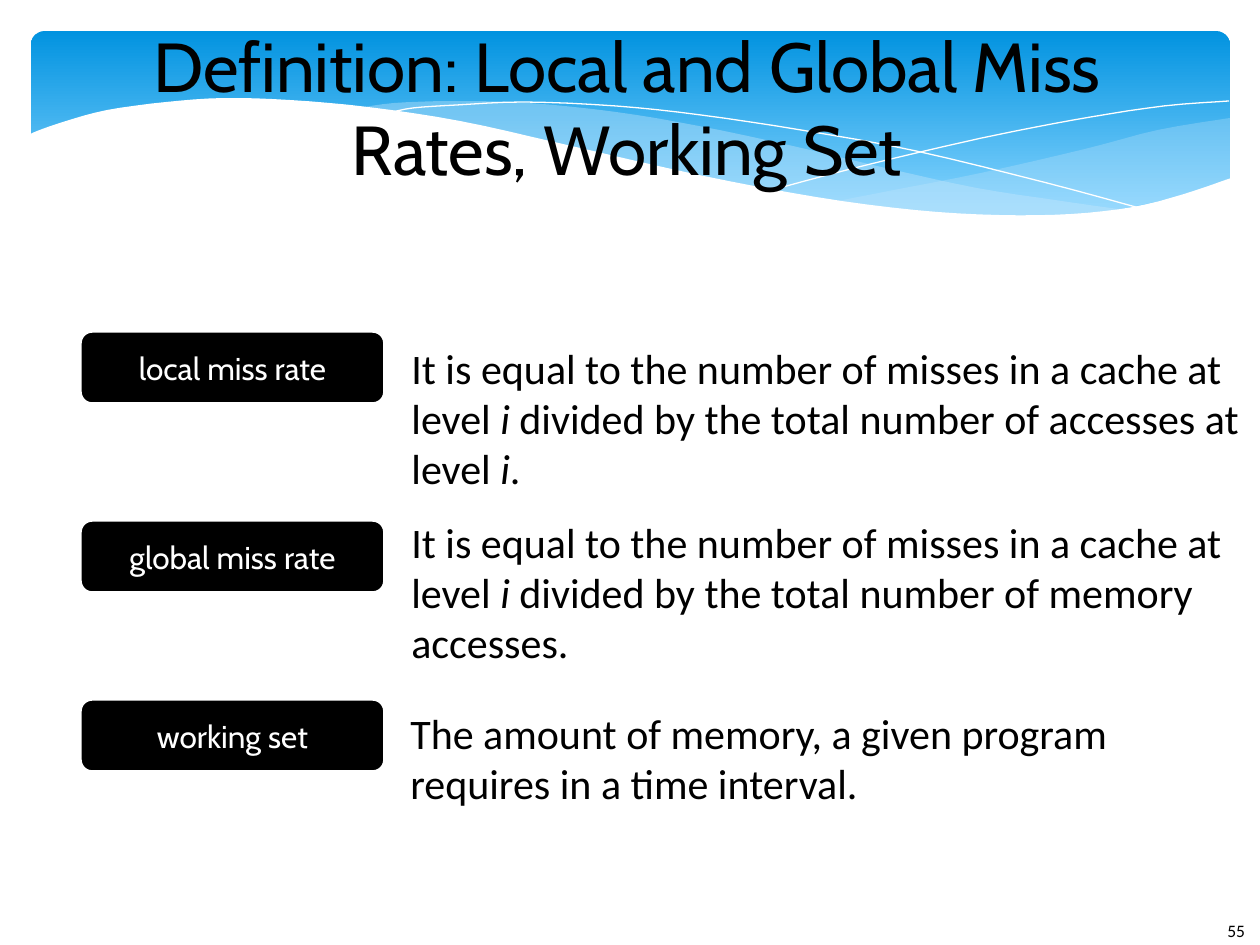
from itertools import pairwise

from lxml.etree import SubElement
from pptx import Presentation
from pptx.dml.color import RGBColor
from pptx.enum.shapes import MSO_SHAPE
from pptx.enum.text import MSO_ANCHOR, MSO_AUTO_SIZE, PP_ALIGN
from pptx.oxml.ns import qn
from pptx.util import Emu, Pt

EMU_PER_PX = 914400 / 126
BLACK = RGBColor(0x00, 0x00, 0x00)
WHITE = RGBColor(0xFF, 0xFF, 0xFF)
DEEP_BLUE = RGBColor(0x02, 0x93, 0xE0)
SKY_BLUE = RGBColor(0x83, 0xD3, 0xFE)
MIST = RGBColor(0xC6, 0xE7, 0xFC)

TITLE = {"size": Pt(39.6), "name": "Cabin"}
LABEL = {"size": Pt(18), "name": "Cabin"}
BODY = {"size": Pt(24), "name": "Calibri"}
NUMBER = {"size": Pt(10), "name": "Calibri"}
BREAK = "\n"

RIGHT_MIST = [
    [(1230, 118), (1158, 130), (1085, 149), (981, 173), (889, 191), (833, 202)],
    [(833, 202), (906, 210), (969, 215), (1026, 217), (1087, 214), (1140, 205),
     (1196, 192), (1230, 178)],
]
LONG_MIST = [
    [(1125, 210), (1055, 200), (977, 188), (890, 169), (793, 146), (699, 126),
     (616, 112), (529, 103), (455, 101), (394, 103), (360, 108)],
    [(360, 108), (456, 122), (566, 146), (668, 170), (757, 189), (838, 203),
     (910, 212), (974, 217), (1031, 218), (1080, 215), (1125, 210)],
]
FALLING_LINE = [
    [(389, 113), (413, 108), (457, 105), (524, 102), (616, 106), (701, 115),
     (801, 130), (916, 151), (1047, 183), (1143, 209)],
]
RISING_LINE = [
    [(772, 190), (847, 170), (942, 147), (1016, 131), (1091, 117), (1164, 106),
     (1229, 101)],
]
WHITE_WAVE = [
    [(1231, 178), (1184, 194), (1133, 207), (1071, 214), (999, 215), (915, 210),
     (816, 197), (699, 175), (563, 144), (460, 121), (368, 107), (290, 100),
     (223, 98), (166, 102), (107, 110), (66, 121), (37, 131), (29, 135)],
    [(29, 135), (29, 282)],
    [(29, 282), (1231, 282)],
]

CACHE_MISSES = [("It is equal to the number of misses in a cache at", False),
                BREAK, ("level ", False), ("i ", True)]
DEFINITIONS = [
    ("local miss rate", 331, (399, 336, 861, 165),
     [CACHE_MISSES + [("divided by the total number of accesses at", False)],
      [("level ", False), ("i", True), (".", False)]]),
    ("global miss rate", 520, (399, 510, 843, 165),
     [CACHE_MISSES + [("divided by the total number of memory", False)],
      [("accesses.", False)]]),
    ("working set", 699, (398, 701, 728, 115),
     [[("The amount of memory, a given program", False)],
      [("requires in a time interval.", False)]]),
]


def px(value):
    return Emu(round(value * EMU_PER_PX))


def spline(knots, steps=4):
    if len(knots) == 2:
        return knots
    padded = [knots[0], *knots, knots[-1]]
    points = [knots[0]]
    for index, (start, end) in enumerate(pairwise(knots)):
        before, after = padded[index], padded[index + 3]
        for step in range(1, steps + 1):
            t = step / steps
            points.append(tuple(
                b + ((c - a) * t + (2 * a - 5 * b + 4 * c - d) * t ** 2
                     + (3 * b - a - 3 * c + d) * t ** 3) / 2
                for a, b, c, d in zip(before, start, end, after)))
    return points


def add_wave(slide, edges, closed):
    points = [point for edge in edges for point in spline(edge)]
    builder = slide.shapes.build_freeform(
        round(points[0][0] * 10), round(points[0][1] * 10), scale=EMU_PER_PX / 10)
    builder.add_line_segments(
        [(round(x * 10), round(y * 10)) for x, y in points[1:]], close=closed)
    wave = builder.convert_to_shape()
    wave.shadow.inherit = False
    return wave


def add_filled_wave(slide, edges, color, opacity=100):
    wave = add_wave(slide, edges, True)
    wave.fill.solid()
    wave.fill.fore_color.rgb = color
    wave.line.fill.background()
    if opacity < 100:
        tint = wave.element.spPr.find(qn("a:solidFill"))[0]
        SubElement(tint, qn("a:alpha")).set("val", str(opacity * 1000))


def add_wave_line(slide, edges):
    wave = add_wave(slide, edges, False)
    wave.fill.background()
    wave.line.color.rgb = WHITE
    wave.line.width = Pt(0)


def add_rounded(slide, frame):
    shape = slide.shapes.add_shape(MSO_SHAPE.ROUNDED_RECTANGLE, *map(px, frame))
    shape.shadow.inherit = False
    return shape


def add_banner(slide):
    banner = add_rounded(slide, (31, 31, 1199, 197))
    banner.adjustments[0] = 0.07
    banner.line.fill.background()
    banner.fill.gradient()
    banner.fill.gradient_angle = 270
    stops = [(0, DEEP_BLUE), (0.9, SKY_BLUE)]
    for stop, (position, color) in zip(banner.fill.gradient_stops, stops):
        stop.position = position
        stop.color.rgb = color


def write(frame, paragraphs, style, color=BLACK, align=PP_ALIGN.LEFT):
    for index, pieces in enumerate(paragraphs):
        para = frame.add_paragraph() if index else frame.paragraphs[0]
        para.alignment = align
        for piece in pieces:
            if piece == BREAK:
                para.add_line_break()
                continue
            span = para.add_run()
            span.text, span.font.italic = piece
            span.font.color.rgb = color
            for name, value in style.items():
                setattr(span.font, name, value)


def add_text(slide, frame, paragraphs, style, align=PP_ALIGN.LEFT, **layout):
    box = slide.shapes.add_textbox(*map(px, frame))
    for name, value in layout.items():
        setattr(box.text_frame, name, value)
    write(box.text_frame, paragraphs, style, align=align)


def add_label(slide, text, top):
    label = add_rounded(slide, (80, top, 305, 73))
    label.fill.solid()
    label.fill.fore_color.rgb = BLACK
    label.line.color.rgb = WHITE
    label.line.width = Pt(2)
    label.text_frame.vertical_anchor = MSO_ANCHOR.MIDDLE
    write(label.text_frame, [[(text, False)]], LABEL, WHITE, PP_ALIGN.CENTER)


def main():
    deck = Presentation()
    deck.slide_width, deck.slide_height = px(1260), px(945)
    slide = deck.slides.add_slide(deck.slide_layouts[6])
    add_banner(slide)
    add_filled_wave(slide, RIGHT_MIST, MIST, 29)
    add_filled_wave(slide, LONG_MIST, MIST, 40)
    add_wave_line(slide, FALLING_LINE)
    add_wave_line(slide, RISING_LINE)
    add_filled_wave(slide, WHITE_WAVE, WHITE)
    add_text(slide, (1215, 914, 77, 50), [[("55", False)]], NUMBER, word_wrap=True)
    add_text(slide, (116, 42, 1022, 128),
             [[("Definition: Local and Global Miss Rates, Working Set", False)]],
             TITLE, PP_ALIGN.CENTER, word_wrap=True,
             vertical_anchor=MSO_ANCHOR.MIDDLE, margin_left=0, margin_right=0,
             margin_top=0, margin_bottom=0)
    for term, top, frame, meaning in DEFINITIONS:
        add_label(slide, term, top)
        add_text(slide, frame, meaning, BODY, word_wrap=False,
                 auto_size=MSO_AUTO_SIZE.SHAPE_TO_FIT_TEXT)
    deck.save("out.pptx")


if __name__ == "__main__":
    main()
